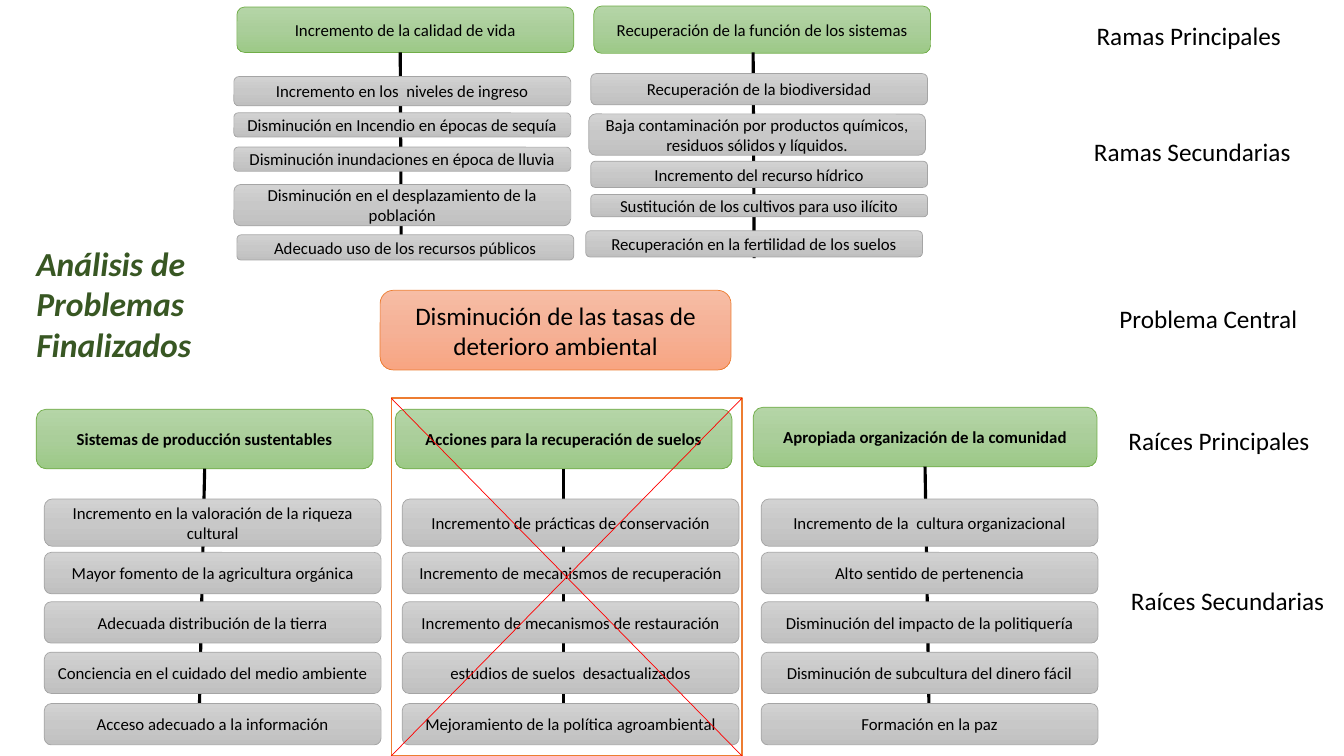
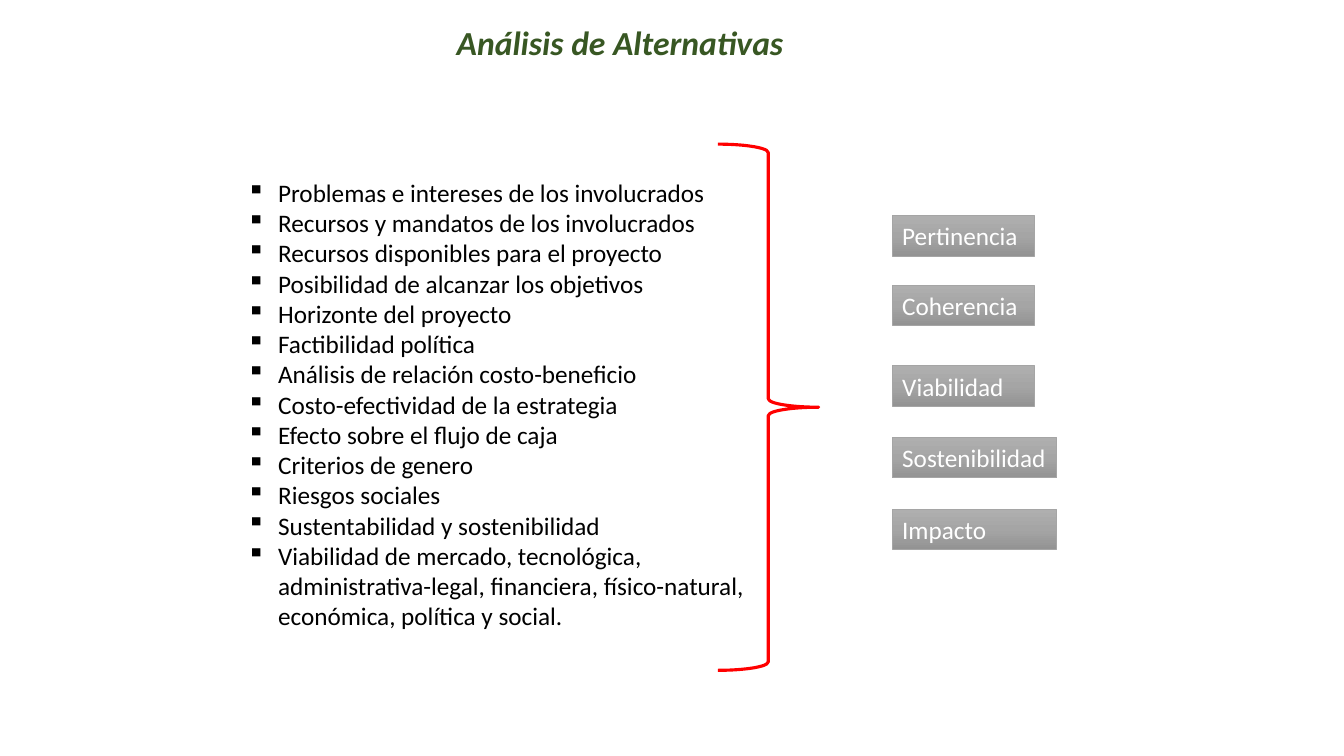
from copy import deepcopy

from lxml import etree
from pptx import Presentation
from pptx.dml.color import RGBColor
from pptx.enum.shapes import MSO_CONNECTOR, MSO_SHAPE
from pptx.enum.text import MSO_ANCHOR, MSO_AUTO_SIZE, PP_ALIGN
from pptx.oxml.ns import qn
from pptx.util import Inches, Pt

STRAIGHT = MSO_CONNECTOR.STRAIGHT
RECTANGLE, ROUNDED, BRACE = MSO_SHAPE.RECTANGLE, MSO_SHAPE.ROUNDED_RECTANGLE, MSO_SHAPE.RIGHT_BRACE
TOP, MIDDLE = MSO_ANCHOR.TOP, MSO_ANCHOR.MIDDLE
LEFT, CENTER = PP_ALIGN.LEFT, PP_ALIGN.CENTER
NO_AUTOFIT = MSO_AUTO_SIZE.NONE
BOTTOM_SIDE = 2
TITLE_ONLY = 5

FONT = "Calibri"
BLACK = RGBColor(0x00, 0x00, 0x00)
WHITE = RGBColor(0xFF, 0xFF, 0xFF)
RED = RGBColor(0xFF, 0x00, 0x00)
DARK_GREEN = RGBColor(0x38, 0x57, 0x23)
GREEN = RGBColor(0x70, 0xAD, 0x47)
GRAY = RGBColor(0xA5, 0xA5, 0xA5)
ORANGE = RGBColor(0xED, 0x7D, 0x31)

# Each style: outline colour, then gradient colours from top to bottom
GREEN_STYLE = (GREEN, (RGBColor(0xB5, 0xD5, 0xA7), RGBColor(0xAA, 0xCE, 0x9A), RGBColor(0x9C, 0xC9, 0x87)))
LIGHT_STYLE = (GRAY, (RGBColor(0xD2, 0xD2, 0xD2), RGBColor(0xC8, 0xC8, 0xC8), RGBColor(0xC0, 0xC0, 0xC0)))
ORANGE_STYLE = (ORANGE, (RGBColor(0xF7, 0xBD, 0xA5), RGBColor(0xF5, 0xB1, 0x96), RGBColor(0xF8, 0xA5, 0x82)))
DARK_STYLE = (GRAY, (RGBColor(0xAF, 0xAF, 0xAF), RGBColor(0xA5, 0xA5, 0xA5), RGBColor(0x93, 0x93, 0x93)))

BOX_WIDTH = 3.34

# Branches: header and its place, spine ends, boxes as (text, left, top, height)
BRANCHES = [
    ("Incremento de la calidad de vida", (2.35, 0.07, BOX_WIDTH, 0.45), (3.97, 0.52, 3.98, 2.56), [
        ("Incremento en los  niveles de ingreso", 2.32, 0.76, 0.29),
        ("Disminución en Incendio en épocas de sequía", 2.32, 1.12, 0.24),
        ("Disminución inundaciones en época de lluvia", 2.32, 1.46, 0.24),
        ("Disminución en el desplazamiento de la población", 2.32, 1.83, 0.41),
        ("Adecuado uso de los recursos públicos", 2.35, 2.33, 0.25),
    ]),
    ("Recuperación de la función de los sistemas", (5.89, 0.06, BOX_WIDTH, 0.47), (7.47, 0.52, 7.48, 2.56), [
        ("Recuperación de la biodiversidad", 5.86, 0.73, 0.31),
        ("Baja contaminación por productos químicos, residuos sólidos y líquidos.", 5.84, 1.13, 0.41),
        ("Incremento del recurso hídrico", 5.86, 1.6, 0.26),
        ("Sustitución de los cultivos para uso ilícito", 5.86, 1.93, 0.22),
        ("Recuperación en la fertilidad de los suelos", 5.81, 2.29, 0.26),
    ]),
]

# Roots: header and its place, spine ends, left of the boxes, box texts
ROOT_ROWS = [(4.95, 0.47), (5.48, 0.41), (5.97, 0.41), (6.47, 0.41), (6.98, 0.41)]
ROOTS = [
    ("Sistemas de producción sustentables", (0.36, 4.06, BOX_WIDTH, 0.59), (2.03, 4.65, 1.97, 7.38), 0.44, [
        "Incremento en la valoración de la riqueza cultural",
        "Mayor fomento de la agricultura orgánica",
        "Adecuada distribución de la tierra",
        "Conciencia en el cuidado del medio ambiente",
        "Acceso adecuado a la información",
    ]),
    ("Acciones para la recuperación de suelos", (3.92, 4.06, BOX_WIDTH, 0.59), (5.59, 4.65, 5.59, 7.38), 3.99, [
        "Incremento de prácticas de conservación",
        "Incremento de mecanismos de recuperación",
        "Incremento de mecanismos de restauración",
        "estudios de suelos  desactualizados",
        "Mejoramiento de la política agroambiental",
    ]),
    ("Apropiada organización de la comunidad", (7.47, 4.04, 3.41, 0.59), (9.18, 4.63, 9.22, 7.38), 7.55, [
        "Incremento de la  cultura organizacional",
        "Alto sentido de pertenencia",
        "Disminución del impacto de la politiquería",
        "Disminución de subcultura del dinero fácil",
        "Formación en la paz",
    ]),
]

LEVEL_LABELS = [
    ("Ramas Principales", 10.58, 0.15, 2.42),
    ("Ramas Secundarias", 10.58, 1.3, 2.49),
    ("Problema Central", 10.97, 2.96, 2.03),
    ("Raíces Principales", 10.88, 4.17, 2.42),
    ("Raíces Secundarias", 10.97, 5.76, 2.41),
]

CENTRAL_PROBLEM = "Disminución de las tasas de deterioro ambiental"
DISCARDED_AREA = (3.88, 3.95, 3.48, 3.55)

ANALYSIS_POINTS = [
    "Problemas e intereses de los involucrados",
    "Recursos y mandatos de los involucrados",
    "Recursos disponibles para el proyecto",
    "Posibilidad de alcanzar los objetivos",
    "Horizonte del proyecto",
    "Factibilidad política",
    "Análisis de relación costo-beneficio",
    "Costo-efectividad de la estrategia",
    "Efecto sobre el flujo de caja",
    "Criterios de genero",
    "Riesgos sociales",
    "Sustentabilidad y sostenibilidad",
    "Viabilidad de mercado, tecnológica, administrativa-legal, financiera, "
    "físico-natural, económica, política y social.",
]

# Criterion, top, width
CRITERIA = [
    ("Pertinencia", 2.14, 1.41),
    ("Coherencia", 2.83, 1.41),
    ("Viabilidad", 3.63, 1.41),
    ("Sostenibilidad", 4.34, 1.63),
    ("Impacto", 5.05, 1.63),
]


def inches(values):
    return [Inches(value) for value in values]


def write(frame, lines, size, color=BLACK, align=LEFT, anchor=TOP, bold=False, italic=False):
    frame.word_wrap = True
    frame.auto_size = NO_AUTOFIT
    frame.vertical_anchor = anchor
    frame.text = "\n".join(lines)
    for paragraph in frame.paragraphs:
        paragraph.alignment = align
        font = paragraph.font
        font.name, font.size, font.color.rgb = FONT, Pt(size), color
        font.bold, font.italic = bold, italic


def add_titled_slide(prs, title_text, place):
    slide = prs.slides.add_slide(prs.slide_layouts[TITLE_ONLY])
    title = slide.shapes.title
    title.left, title.top, title.width, title.height = inches(place)
    write(title.text_frame, [title_text], 24, DARK_GREEN, bold=True, italic=True)
    return slide


def add_outline(slide, kind, place, color, width):
    """Add an unfilled, unshadowed preset shape."""
    shape = slide.shapes.add_shape(kind, *inches(place))
    shape.shadow.inherit = False
    shape.fill.background()
    shape.line.color.rgb = color
    shape.line.width = Pt(width)
    return shape


def add_box(slide, kind, place, style, text, size, **text_format):
    line_color, gradient = style
    box = add_outline(slide, kind, place, line_color, 0.5)
    box.fill.gradient()
    box.fill.gradient_angle = 270
    stop_list = box._element.spPr.find(qn("a:gradFill")).find(qn("a:gsLst"))
    stop_list.append(deepcopy(stop_list[0]))
    for stop, color, position in zip(box.fill.gradient_stops, gradient, (0, 0.5, 1)):
        stop.color.rgb = color
        stop.position = position
    write(box.text_frame, [text], size, **text_format)
    return box


def add_line(slide, ends, color, width):
    line = slide.shapes.add_connector(STRAIGHT, *inches(ends))
    line.line.color.rgb = color
    line.line.width = Pt(width)
    etree.SubElement(line._element.spPr, qn("a:effectLst"))
    return line


def add_text(slide, place, lines, size, **text_format):
    text_box = slide.shapes.add_textbox(*inches(place))
    write(text_box.text_frame, lines, size, **text_format)
    return text_box


def add_column(slide, header, header_place, spine_ends, boxes, is_root):
    """Draw a green header, its spine and the gray boxes over the spine."""
    centered = {"align": CENTER, "anchor": MIDDLE}
    header_box = add_box(slide, ROUNDED, header_place, GREEN_STYLE, header, 12, bold=is_root, **centered)
    spine = add_line(slide, spine_ends, BLACK, 2.25)
    if is_root:
        spine.begin_connect(header_box, BOTTOM_SIDE)
    for text, left, top, height in boxes:
        add_box(slide, ROUNDED, (left, top, BOX_WIDTH, height), LIGHT_STYLE, text, 12, **centered)


def add_bullets(text_box):
    for paragraph in text_box.text_frame.paragraphs:
        properties = paragraph._p.get_or_add_pPr()
        properties.set("marL", str(Inches(0.31)))
        properties.set("indent", str(-Inches(0.31)))
        bullet = etree.Element(qn("a:buChar"), char="▪")
        properties.insert(0, bullet)


def build_problem_tree(prs):
    slide = add_titled_slide(prs, "Análisis de Problemas Finalizados", (0.26, 2.36, 2.3, 1.31))
    for header, place, spine, boxes in BRANCHES:
        add_column(slide, header, place, spine, boxes, is_root=False)
    add_box(slide, ROUNDED, (3.77, 2.88, 3.48, 0.79), ORANGE_STYLE, CENTRAL_PROBLEM, 18,
            align=CENTER, anchor=MIDDLE)
    for header, place, spine, left, texts in ROOTS:
        boxes = [(text, left, top, height) for text, (top, height) in zip(texts, ROOT_ROWS)]
        add_column(slide, header, place, spine, boxes, is_root=True)
    for label, left, top, width in LEVEL_LABELS:
        add_text(slide, (left, top, width, 0.4), [label], 18, align=CENTER)

    add_outline(slide, RECTANGLE, DISCARDED_AREA, ORANGE, 1)
    left, top, width, height = DISCARDED_AREA
    right, bottom = left + width, top + height
    for diagonal in ((left, top, right, bottom), (right, top, left, bottom)):
        add_line(slide, diagonal, RED, 0.5)


def build_alternatives(prs):
    slide = add_titled_slide(prs, "Análisis de Alternativas", (4.43, 0.17, 3.88, 0.5))
    add_bullets(add_text(slide, (2.35, 1.71, 5.18, 4.64), ANALYSIS_POINTS, 18))
    add_outline(slide, BRACE, (7.12, 1.43, 1, 5.22), RED, 2.25)
    for criterion, top, width in CRITERIA:
        box = add_box(slide, RECTANGLE, (8.85, top, width, 0.4), DARK_STYLE, criterion, 18, color=WHITE)
        box.text_frame.margin_right = Inches(0.05)


def main():
    prs = Presentation()
    prs.slide_width, prs.slide_height = Inches(13.33), Inches(7.5)
    build_problem_tree(prs)
    build_alternatives(prs)
    prs.save("out.pptx")


if __name__ == "__main__":
    main()
